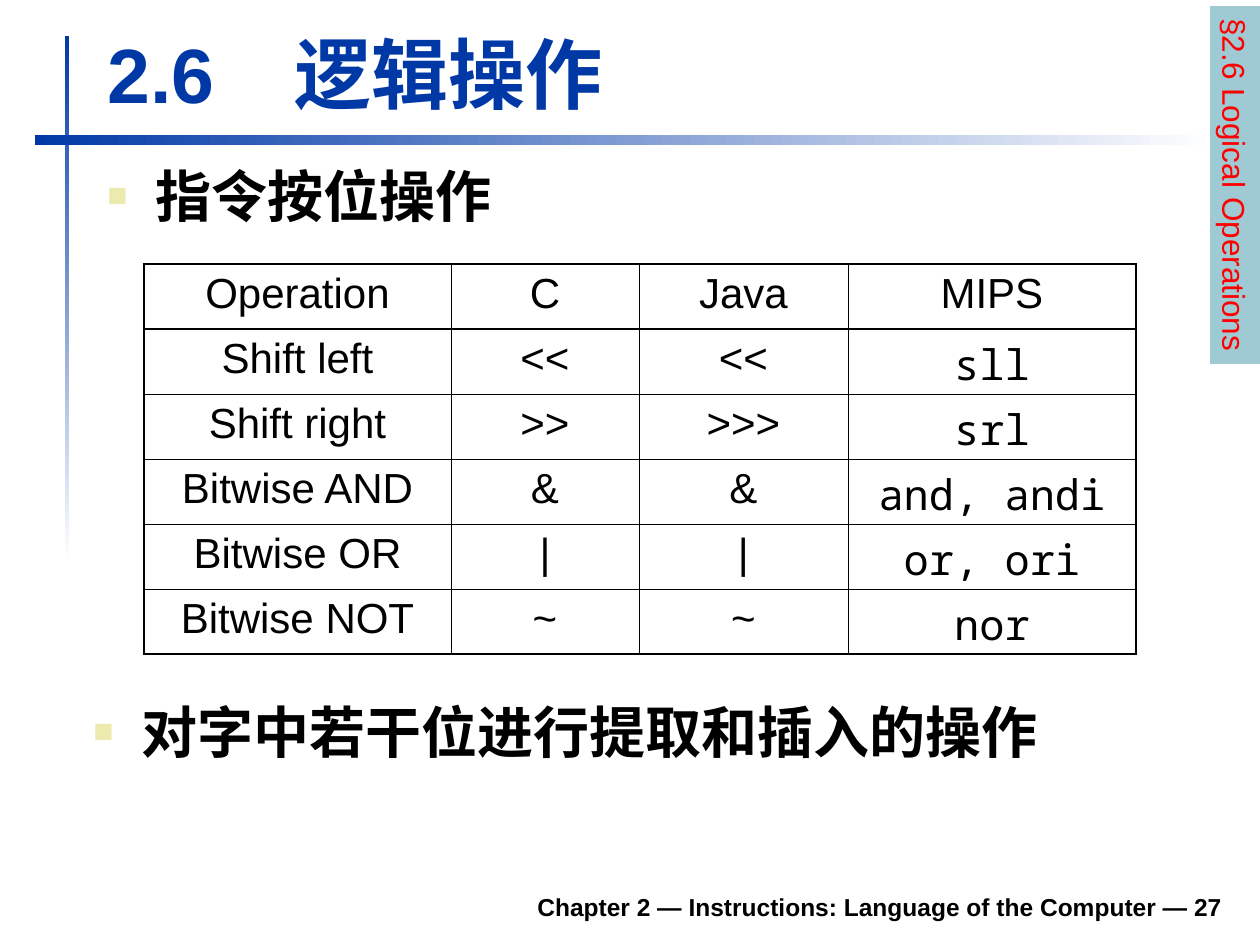
import pptx
import pptx.util
from lxml import etree
from pptx.dml.color import RGBColor
from pptx.enum.shapes import MSO_SHAPE
from pptx.enum.text import MSO_ANCHOR, MSO_AUTO_SIZE, PP_ALIGN
from pptx.oxml.ns import qn

PX_PER_INCH = 126
BLUE = RGBColor(0x00, 0x39, 0xA6)
WHITE = RGBColor(0xFF, 0xFF, 0xFF)
BLACK = RGBColor(0x00, 0x00, 0x00)
RED = RGBColor(0xFF, 0x00, 0x00)
TEAL = RGBColor(0x9F, 0xCA, 0xD3)
BULLET_YELLOW = RGBColor(0xEC, 0xEA, 0xAC)

SANS = "Arial"
MONO = "Noto Sans Mono"
OUTER, HEADER, INNER = 1.08, 0.75, 0.45  # table rule widths in points

COLUMN_WIDTHS = [307, 188, 209, 288]
ROW_HEIGHT = 65
OPERATIONS = [
    ["Operation", "C", "Java", "MIPS"],
    ["Shift left", "<<", "<<", "sll"],
    ["Shift right", ">>", ">>>", "srl"],
    ["Bitwise AND", "&", "&", "and, andi"],
    ["Bitwise OR", "|", "|", "or, ori"],
    ["Bitwise NOT", "~", "~", "nor"],
]


def px(length):
    return pptx.util.Emu(round(length * 914400 / PX_PER_INCH))


def box(*lengths):
    return [px(length) for length in lengths]


def set_font(paragraph, size, color, bold=False, name=SANS):
    font = paragraph.font
    font.name = name
    font.size = pptx.util.Pt(size)
    font.bold = bold
    font.color.rgb = color


def add_child(parent, tag, **attributes):
    return etree.SubElement(parent, qn(tag), attributes)


def add_gradient_bar(slide, bounds, angle):
    bar = slide.shapes.add_shape(MSO_SHAPE.RECTANGLE, *box(*bounds))
    bar.shadow.inherit = False
    bar.line.fill.background()
    bar.fill.gradient()
    bar.fill.gradient_angle = angle
    for stop, color, position in zip(bar.fill.gradient_stops, (BLUE, WHITE), (0, 1)):
        stop.color.rgb = color
        stop.position = position


def format_title(slide, text):
    title = slide.shapes.title
    title.left, title.top, title.width, title.height = box(95, 20, 1138, 105)
    frame = title.text_frame
    frame.text = text
    frame.vertical_anchor = MSO_ANCHOR.BOTTOM
    frame.auto_size = MSO_AUTO_SIZE.SHAPE_TO_FIT_TEXT
    paragraph = frame.paragraphs[0]
    paragraph.alignment = PP_ALIGN.LEFT
    tabs = add_child(paragraph._p.get_or_add_pPr(), "a:tabLst")
    add_child(tabs, "a:tab", pos=str(px(187)), algn="l")
    set_font(paragraph, 44, BLUE, bold=True)


def add_text(slide, bounds, text):
    """Add a wrapping text box and return its frame and paragraph."""
    frame = slide.shapes.add_textbox(*box(*bounds)).text_frame
    frame.word_wrap = True
    frame.text = text
    return frame, frame.paragraphs[0]


def add_bullet_text(slide, bounds, text):
    paragraph = add_text(slide, bounds, text)[1]
    properties = paragraph._p.get_or_add_pPr()
    properties.set("marL", str(px(48)))
    properties.set("indent", str(-px(48)))
    color = add_child(properties, "a:buClr")
    add_child(color, "a:srgbClr", val=str(BULLET_YELLOW))
    add_child(properties, "a:buSzPct", val="60000")
    add_child(properties, "a:buFont", typeface=SANS)
    add_child(properties, "a:buChar", char="■")
    set_font(paragraph, 32, BLACK, bold=True)


def add_footer(slide, text):
    frame, paragraph = add_text(slide, (233, 879, 1002, 49), text)
    frame.vertical_anchor = MSO_ANCHOR.BOTTOM
    paragraph.alignment = PP_ALIGN.RIGHT
    set_font(paragraph, 14, BLACK, bold=True)


def add_section_tab(slide, text):
    tab = slide.shapes.add_shape(MSO_SHAPE.RECTANGLE, *box(1056, 160, 358, 50))
    tab.rotation = 90
    tab.shadow.inherit = False
    tab.fill.solid()
    tab.fill.fore_color.rgb = TEAL
    tab.line.fill.background()
    frame = tab.text_frame
    frame.text = text
    frame.word_wrap = False
    frame.auto_size = MSO_AUTO_SIZE.SHAPE_TO_FIT_TEXT
    frame.vertical_anchor = MSO_ANCHOR.TOP
    paragraph = frame.paragraphs[0]
    paragraph.alignment = PP_ALIGN.LEFT
    set_font(paragraph, 18, RED)


def set_borders(cell, widths):
    """Draw the left, right, top and bottom rules, widths in points."""
    properties = cell._tc.get_or_add_tcPr()
    for side, width in zip("LRTB", widths):
        line = add_child(properties, f"a:ln{side}", w=str(pptx.util.Pt(width)))
        fill = add_child(line, "a:solidFill")
        add_child(fill, "a:srgbClr", val=str(BLACK))


def add_operations_table(slide):
    row_count, column_count = len(OPERATIONS), len(COLUMN_WIDTHS)
    bounds = box(144, 264, sum(COLUMN_WIDTHS), ROW_HEIGHT * row_count)
    table = slide.shapes.add_table(row_count, column_count, *bounds).table
    table.first_row = table.horz_banding = False
    for column, width in zip(table.columns, COLUMN_WIDTHS):
        column.width = px(width)

    column_rules = [OUTER] + [INNER] * (column_count - 1) + [OUTER]
    row_rules = [OUTER, HEADER] + [INNER] * (row_count - 2) + [OUTER]
    for row, texts in enumerate(OPERATIONS):
        table.rows[row].height = px(ROW_HEIGHT)
        for column, text in enumerate(texts):
            cell = table.cell(row, column)
            cell.text = text
            set_borders(cell, column_rules[column:column + 2] + row_rules[row:row + 2])
            cell.fill.background()
            paragraph = cell.text_frame.paragraphs[0]
            paragraph.alignment = PP_ALIGN.CENTER
            is_instruction = row > 0 and column == column_count - 1
            set_font(paragraph, 24, BLACK, name=MONO if is_instruction else SANS)


def main():
    presentation = pptx.Presentation()
    presentation.slide_width, presentation.slide_height = box(1260, 945)
    slide = presentation.slides.add_slide(presentation.slide_layouts[5])

    add_gradient_bar(slide, (65, 36, 4, 525), 270)
    add_gradient_bar(slide, (35, 135, 1180, 10), 0)
    add_footer(slide, "Chapter 2 — Instructions: Language of the Computer — 27")
    format_title(slide, "2.6\t逻辑操作")
    add_bullet_text(slide, (95, 155, 1139, 96), "指令按位操作")
    add_operations_table(slide)
    add_bullet_text(slide, (81, 691, 1115, 149), "对字中若干位进行提取和插入的操作")
    add_section_tab(slide, "§2.6 Logical Operations")
    presentation.save("out.pptx")


if __name__ == "__main__":
    main()
